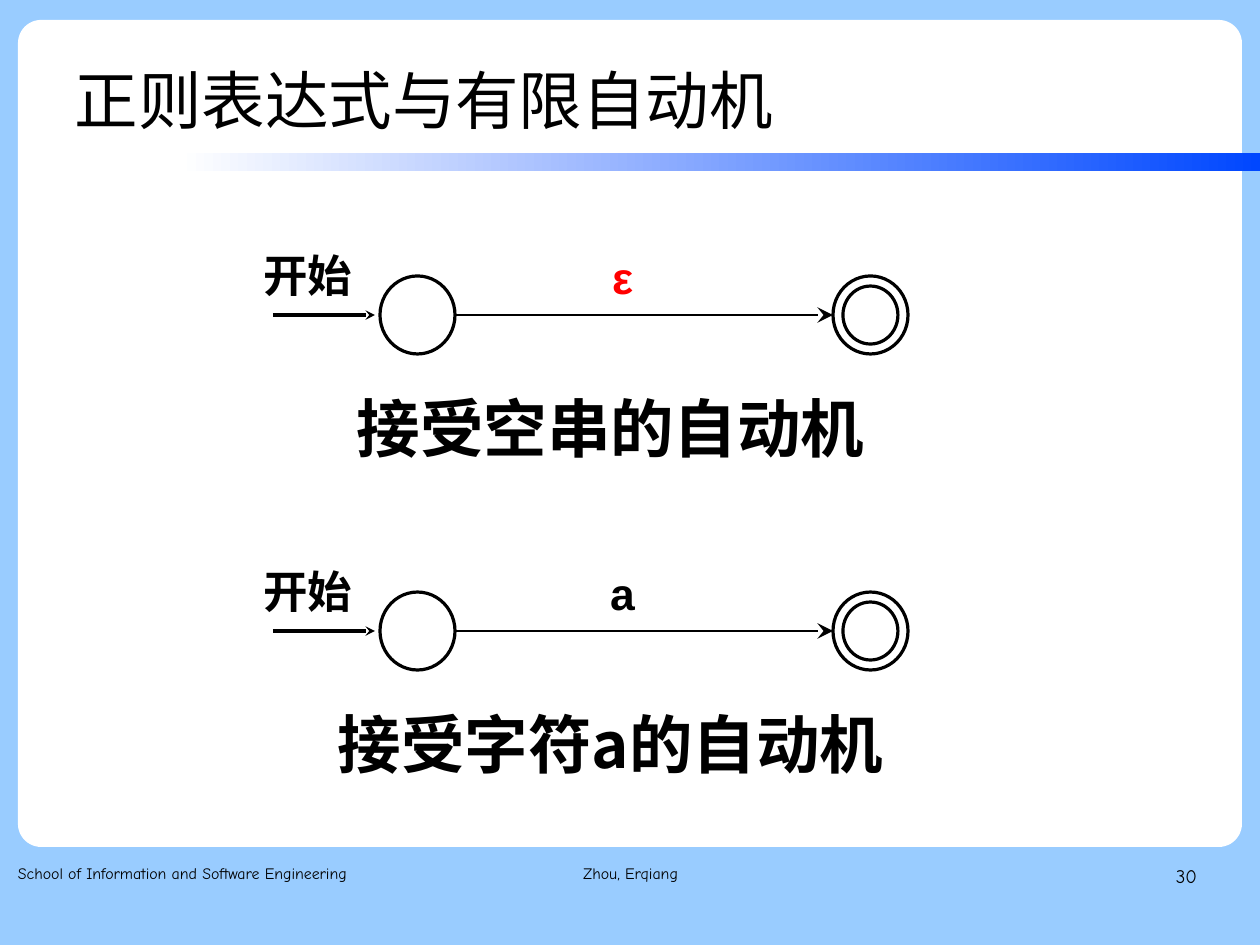
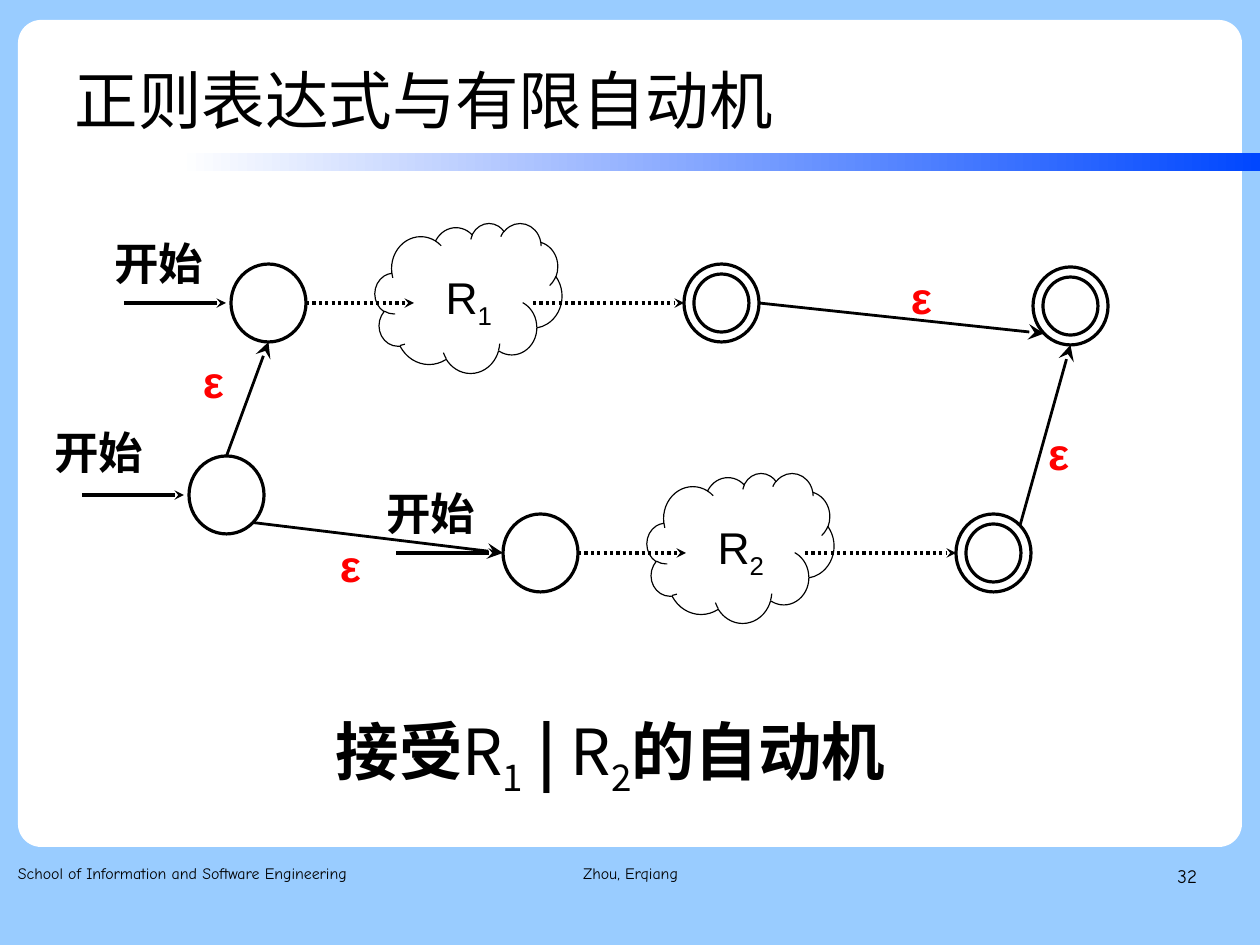
from math import cos, radians, sin

from lxml.etree import SubElement
from pptx import Presentation
from pptx.dml.color import RGBColor
from pptx.enum.dml import MSO_LINE
from pptx.enum.shapes import MSO_CONNECTOR, MSO_SHAPE
from pptx.enum.text import MSO_ANCHOR, PP_ALIGN
from pptx.oxml.ns import qn
from pptx.util import Emu, Pt

PIXEL = 8000  # EMU in one pixel
SLIDE_WIDTH, SLIDE_HEIGHT = 1260, 945

SKY = RGBColor(0x99, 0xCC, 0xFF)
WHITE = RGBColor(0xFF, 0xFF, 0xFF)
BLUE = RGBColor(0x00, 0x47, 0xFF)
BLACK = RGBColor(0x00, 0x00, 0x00)
RED = RGBColor(0xFF, 0x00, 0x00)

CHINESE_FONT = "Noto Sans CJK SC"
SYMBOL_FONT = "Arial"
FOOTER_FONT = "Comic Neue"

TITLE = "正则表达式与有限自动机"
START_TEXT = "开始"
EPSILON = "ε"

# Automaton measures, relative to the left top corner of its start state
STATE_WIDTH, STATE_HEIGHT = 75, 78
RING_GAP = 10
ACCEPT_OFFSET = 453
START_LABEL_OFFSET = (-124, -26)


def px(*lengths):
    return [Emu(round(length * PIXEL)) for length in lengths]


# Basic parts

def add_run(paragraph, text, size, font=CHINESE_FONT, color=BLACK, bold=False, subscript=False):
    run = paragraph.add_run()
    run.text = text
    run.font.size = Pt(size)
    run.font.name = font
    run.font.bold = bold
    run.font.color.rgb = color
    properties = run.font._element
    SubElement(properties, qn("a:ea"), typeface=CHINESE_FONT)
    if subscript:
        properties.set("baseline", "-25000")


def set_frame(shape, insets, align, spacing, anchor):
    frame = shape.text_frame
    frame.word_wrap = True
    frame.vertical_anchor = anchor
    (frame.margin_left, frame.margin_top,
     frame.margin_right, frame.margin_bottom) = px(*insets)
    paragraph = frame.paragraphs[0]
    paragraph.alignment = align
    paragraph.line_spacing = spacing
    return paragraph


def add_text(slide, box, insets, align=PP_ALIGN.LEFT, spacing=0.93, anchor=MSO_ANCHOR.TOP):
    return set_frame(slide.shapes.add_textbox(*px(*box)), insets, align, spacing, anchor)


def add_shape(slide, kind, box, fill=None, line_width=None):
    shape = slide.shapes.add_shape(kind, *px(*box))
    shape.shadow.inherit = False
    if fill is None:
        shape.fill.background()
    else:
        shape.fill.solid()
        shape.fill.fore_color.rgb = fill
    if line_width is None:
        shape.line.fill.background()
    else:
        shape.line.color.rgb = BLACK
        shape.line.width = Pt(line_width)
    return shape


def add_arrow(slide, start, end, width=2, head="med", dotted=False):
    arrow = slide.shapes.add_connector(MSO_CONNECTOR.STRAIGHT, *px(*start, *end))
    arrow.line.color.rgb = BLACK
    arrow.line.width = Pt(width)
    if dotted:
        arrow.line.dash_style = MSO_LINE.ROUND_DOT
    SubElement(arrow.line._get_or_add_ln(), qn("a:tailEnd"), type="stealth", w=head, len=head)
    SubElement(arrow._element.spPr, qn("a:effectLst"))


# Frame shared by the slides

def add_base_slide(presentation, number):
    slide = presentation.slides.add_slide(presentation.slide_layouts[6])
    slide.background.fill.solid()
    slide.background.fill.fore_color.rgb = SKY

    panel = add_shape(slide, MSO_SHAPE.ROUNDED_RECTANGLE, (18, 20, 1224, 827), WHITE)
    panel.adjustments[0] = 0.028

    band = add_shape(slide, MSO_SHAPE.RECTANGLE, (179, 153, SLIDE_WIDTH - 179, 18), WHITE)
    band.fill.gradient()
    band.fill.gradient_angle = 0
    for stop, color in zip(band.fill.gradient_stops, (WHITE, BLUE)):
        stop.color.rgb = color

    title = add_text(slide, (63, 38, 981, 115), (12, 7, 12, 7), spacing=1.1,
                     anchor=MSO_ANCHOR.MIDDLE)
    add_run(title, TITLE, 40)

    footers = (
        (18, 386, PP_ALIGN.LEFT, "School of Information and Software Engineering", 10),
        (431, 399, PP_ALIGN.CENTER, "Zhou, Erqiang", 10),
        (903, 294, PP_ALIGN.RIGHT, str(number), 12),
    )
    for left, width, align, text, size in footers:
        footer = add_text(slide, (left, 861, width, 65), (0, 0, 0, 0), align, 1.16)
        add_run(footer, text, size, FOOTER_FONT)
    return slide


# Parts of an automaton; a state is known by its left top corner

def rim(state, degrees):
    """Point on the edge of a state, counted clockwise from the right."""
    left, top = state
    angle = radians(degrees)
    return (left + STATE_WIDTH / 2 * (1 + cos(angle)),
            top + STATE_HEIGHT / 2 * (1 + sin(angle)))


def add_state(slide, state, accepting=False):
    for gap in (0, RING_GAP) if accepting else (0,):
        box = (state[0] + gap, state[1] + gap,
               STATE_WIDTH - 2 * gap, STATE_HEIGHT - 2 * gap)
        add_shape(slide, MSO_SHAPE.OVAL, box, line_width=2)


def add_start_state(slide, state, label_offset=START_LABEL_OFFSET):
    left, top = state
    add_state(slide, state)
    label = add_text(slide, (left + label_offset[0], top + label_offset[1], 120, 59), (7, 3, 7, 3))
    add_run(label, START_TEXT, 28, bold=True)
    middle = top + STATE_HEIGHT / 2
    add_arrow(slide, (left - 107, middle), (left - 5, middle))


def add_transition(slide, start, end, symbol, label_corner):
    add_arrow(slide, start, end, width=1.75, head="lg")
    label = add_text(slide, (*label_corner, 123, 66), (7, 3, 7, 3), PP_ALIGN.CENTER)
    if symbol == EPSILON:
        add_run(label, symbol, 28, SYMBOL_FONT, RED, bold=True)
    else:
        add_run(label, symbol, 28, SYMBOL_FONT, bold=True)


def add_caption(slide, top, pieces):
    """Pieces are (text, bold, subscript)."""
    caption = add_text(slide, (291, top, 639, 82), (11, 6, 11, 6), PP_ALIGN.CENTER)
    for text, bold, subscript in pieces:
        add_run(caption, text, 40, bold=bold, subscript=subscript)


def add_symbol_automaton(slide, state, symbol):
    left, top = state
    accept = (left + ACCEPT_OFFSET, top)
    add_start_state(slide, state)
    add_state(slide, accept, accepting=True)
    add_transition(slide, rim(state, 0), rim(accept, 180), symbol, (left + 181, top - 24))


def add_expression_automaton(slide, state, index):
    """Start and accepting state with the cloud of expression R between them."""
    left, top = state
    accept = (left + ACCEPT_OFFSET, top)
    middle = top + STATE_HEIGHT / 2
    add_start_state(slide, state)
    add_state(slide, accept, accepting=True)
    add_arrow(slide, rim(state, 0), (left + 183, middle), dotted=True)
    add_arrow(slide, (left + 302, middle), rim(accept, 180), dotted=True)
    cloud = add_shape(slide, MSO_SHAPE.CLOUD, (left + 144, top - 41, 187, 150), line_width=0.75)
    name = set_frame(cloud, (25, 13, 11, 6), PP_ALIGN.CENTER, 0.93, MSO_ANCHOR.MIDDLE)
    add_run(name, "R", 28, SYMBOL_FONT)
    add_run(name, index, 28, SYMBOL_FONT, subscript=True)
    return accept


# Slides

def add_basic_slide(presentation):
    slide = add_base_slide(presentation, 30)
    rows = ((EPSILON, "接受空串的自动机"), ("a", "接受字符a的自动机"))
    for row, (symbol, caption) in enumerate(rows):
        top = 276 + 316 * row
        add_symbol_automaton(slide, (380, top), symbol)
        add_caption(slide, top + 114, [(caption, True, False)])


def add_union_slide(presentation):
    slide = add_base_slide(presentation, 32)
    choice, final = (189, 456), (1033, 267)
    upper, lower = (231, 264), (503, 514)

    upper_accept = add_expression_automaton(slide, upper, "1")
    lower_accept = add_expression_automaton(slide, lower, "2")
    add_start_state(slide, choice, label_offset=(-142, -29))
    add_state(slide, final, accepting=True)

    transitions = (
        (rim(choice, 270), rim(upper, 90), (152, 356)),
        (rim(choice, 45), rim(lower, 180), (289, 540)),
        (rim(upper_accept, 0), rim(final, 135), (860, 272)),
        (rim(lower_accept, 315), rim(final, 90), (997, 428)),
    )
    for start, end, label_corner in transitions:
        add_transition(slide, start, end, EPSILON, label_corner)

    add_caption(slide, 706, [
        ("接受", True, False),
        ("R", False, False), ("1", False, True),
        (" | ", True, False),
        ("R", False, False), ("2", False, True),
        ("的自动机", True, False),
    ])


presentation = Presentation()
presentation.slide_width, presentation.slide_height = px(SLIDE_WIDTH, SLIDE_HEIGHT)
add_basic_slide(presentation)
add_union_slide(presentation)
presentation.save("out.pptx")
